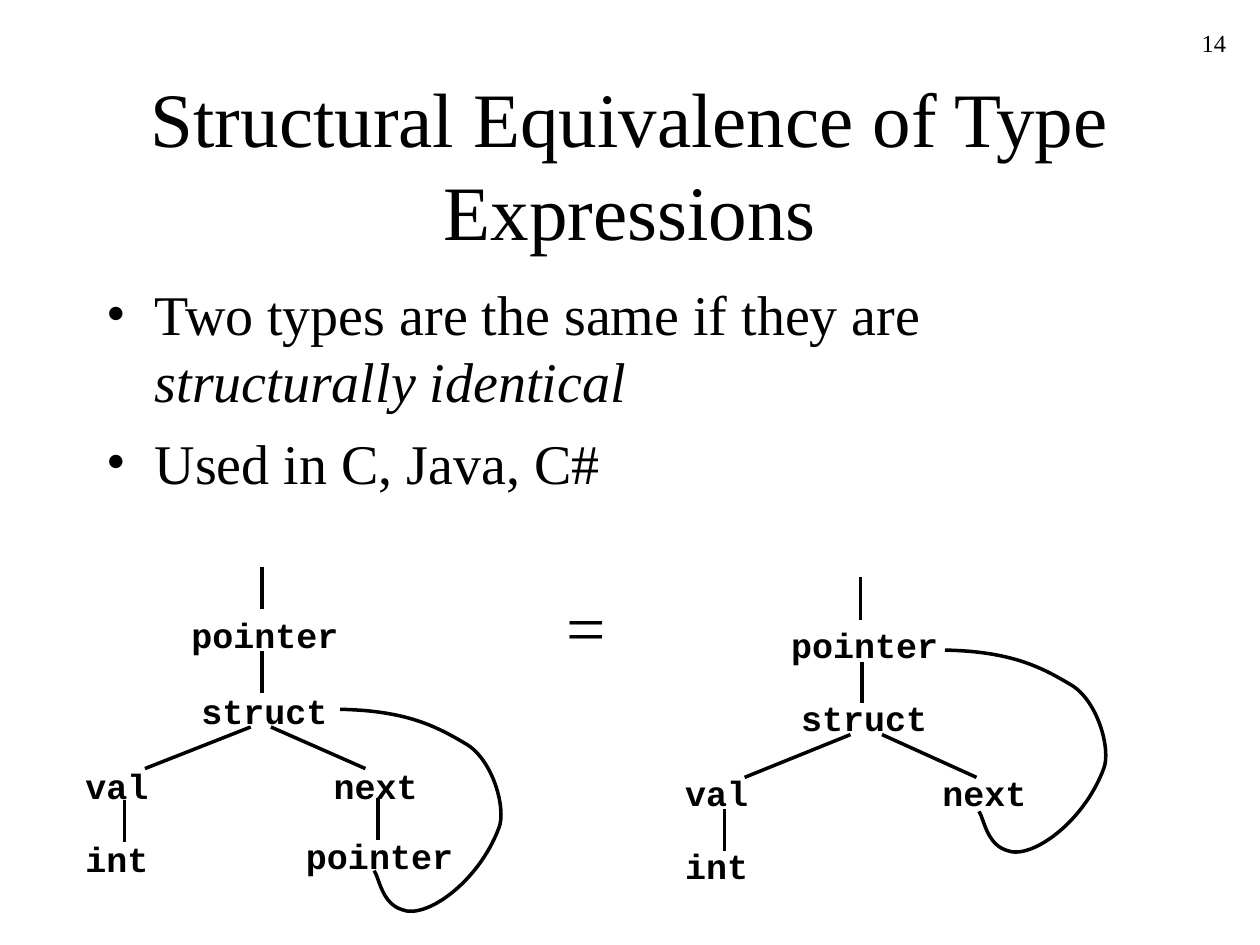
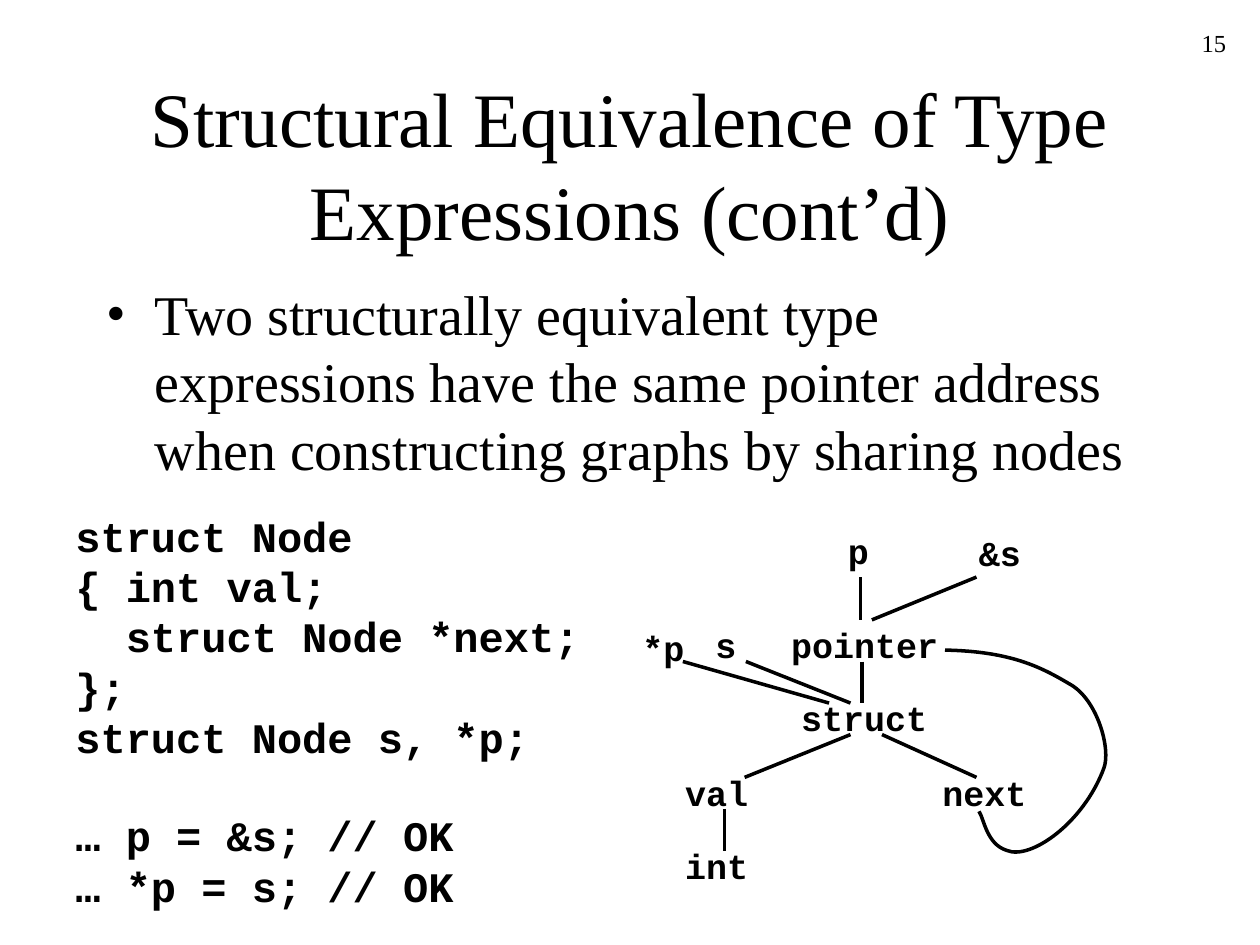
from pptx import Presentation
from pptx.dml.color import RGBColor
from pptx.enum.shapes import MSO_CONNECTOR
from pptx.enum.text import MSO_ANCHOR, MSO_AUTO_SIZE, PP_ALIGN
from pptx.oxml.ns import qn
from pptx.util import Inches, Pt
from lxml.etree import SubElement

BLACK = RGBColor(0, 0, 0)
WHITE = RGBColor(255, 255, 255)
SERIF = "Times New Roman"
MONO = "Courier New"
NODE_SIZE = 20
CODE_SIZE = 24
CODE_CHAR = 0.2    # inches per character at CODE_SIZE
CODE_LINE = 27.2   # points per line at CODE_SIZE

# Nodes are (label, left, top); edges are (x1, y1, x2, y2).
LEFT_TREE = {
    "nodes": [("pointer", 1.42, 4.82), ("struct", 1.5, 5.42),
              ("val", 0.58, 6.02), ("next", 2.55, 6.02),
              ("int", 0.58, 6.6), ("pointer", 2.33, 6.57)],
    "edges": [(2.08, 4.5, 2.08, 4.83), (2.08, 5.17, 2.08, 5.5),
              (1.99, 5.77, 1.15, 6.1), (2.15, 5.77, 2.9, 6.1),
              (0.99, 6.35, 0.99, 6.68), (3, 6.33, 3, 6.67)],
    "loop": (2.7, 5.63),
}
SHARED_TREE = {
    "nodes": [("pointer", 6.18, 4.9), ("struct", 6.26, 5.48),
              ("val", 5.34, 6.07), ("next", 7.38, 6.07),
              ("int", 5.34, 6.65)],
    "edges": [(6.83, 4.58, 6.83, 4.92), (6.84, 5.25, 6.84, 5.58),
              (6.75, 5.83, 5.91, 6.17), (7, 5.83, 7.75, 6.17),
              (5.75, 6.42, 5.75, 6.75)],
    "loop": (7.5, 5.16),
}
VARIABLES = {
    "nodes": [("p", 6.63, 4.15), ("&s", 7.67, 4.17),
              ("s", 5.58, 4.9), ("*p", 5, 4.92)],
    "edges": [(7.75, 4.58, 6.92, 4.92), (5.92, 5.25, 6.75, 5.58),
              (5.42, 5.25, 6.58, 5.58)],
}
# Start point, then three Bezier points per segment, from the loop's corner.
LOOP = [(0.27, 1.28),
        (0.31, 1.34), (0.33, 1.54), (0.49, 1.59),
        (0.68, 1.67), (1.1, 1.37), (1.26, 0.94),
        (1.32, 0.79), (1.21, 0.39), (0.99, 0.27),
        (0.77, 0.14), (0.53, 0.01), (0, 0)]

# Code lines are (text, indent in characters, blank lines before).
CODE = [("struct Node", 0, 0), ("{ int val;", 0, 0),
        ("struct Node *next;", 2, 0), ("};", 0, 0),
        ("struct Node s, *p;", 0, 0),
        ("… p = &s; // OK", 0, 1), ("… *p = s; // OK", 0, 0)]

# Each bullet is a list of (text, italic) runs.
SLIDES = [
    {"number": "14",
     "title": "Structural Equivalence of Type Expressions",
     "bullets": [[("Two types are the same if they are ", False),
                  ("structurally identical", True)],
                 [("Used in C, Java, C#", False)]],
     "graphs": [LEFT_TREE, SHARED_TREE],
     "equals": (4.4, 4.58)},
    {"number": "15",
     "title": "Structural Equivalence of Type Expressions (cont’d)",
     "bullets": [[("Two structurally equivalent type expressions have the "
                   "same pointer address when constructing graphs by "
                   "sharing nodes", False)]],
     "graphs": [SHARED_TREE, VARIABLES],
     "code": CODE},
]


def add_run(p, text, size, font=SERIF, bold=False, italic=False):
    r = p.add_run()
    r.text = text
    r.font.name, r.font.size = font, Pt(size)
    r.font.bold, r.font.italic = bold, italic
    r.font.color.rgb = BLACK


def add_box(s, x, y, w, h, wrap=True):
    tf = s.shapes.add_textbox(*map(Inches, (x, y, w, h))).text_frame
    tf.word_wrap = wrap
    return tf


def add_text(s, text, x, y, w, h, wrap=False, align=PP_ALIGN.LEFT, **fmt):
    p = add_box(s, x, y, w, h, wrap).paragraphs[0]
    p.alignment = align
    add_run(p, text, **fmt)


def paragraphs(tf, items):
    """Pair each item with a paragraph, starting with the one already there."""
    for i, item in enumerate(items):
        yield (tf.add_paragraph() if i else tf.paragraphs[0]), item


def set_indent(p, left, first=0):
    pPr = p._p.get_or_add_pPr()
    pPr.set("marL", str(Inches(left)))
    pPr.set("indent", str(Inches(first)))
    return pPr


def add_title(s, text):
    sp = s.shapes.title
    sp.left, sp.top, sp.width, sp.height = map(Inches, (0.75, 0.67, 8.5, 1.25))
    tf = sp.text_frame
    tf.word_wrap, tf.auto_size = True, MSO_AUTO_SIZE.NONE
    tf.vertical_anchor = MSO_ANCHOR.MIDDLE
    p = tf.paragraphs[0]
    p.alignment = PP_ALIGN.CENTER
    add_run(p, text, 44)


def add_bullets(s, bullets):
    tf = add_box(s, 0.75, 2.17, 8.5, 4.5)
    for p, runs in paragraphs(tf, bullets):
        p.space_before = Pt(8)
        pPr = set_indent(p, 0.38, -0.38)
        SubElement(pPr, qn("a:buFont"), typeface=SERIF)
        SubElement(pPr, qn("a:buChar"), char="•")
        for text, italic in runs:
            add_run(p, text, 32, italic=italic)


def add_code(s, lines):
    tf = add_box(s, 0.5, 4, 4.2, 3.3, wrap=False)
    for p, (text, indent, blanks) in paragraphs(tf, lines):
        set_indent(p, indent * CODE_CHAR)
        p.space_before = Pt(blanks * CODE_LINE)
        add_run(p, text, CODE_SIZE, MONO, bold=True)


def style_line(sp):
    sp.line.color.rgb = BLACK
    sp.line.width = Pt(2)


def add_loop(s, x, y):
    """Draw the curved back edge as cubic Bezier segments."""
    points = [(Inches(x + dx), Inches(y + dy)) for dx, dy in LOOP]
    builder = s.shapes.build_freeform(*points[0])
    builder.add_line_segments(points[1:], close=False)
    sp = builder.convert_to_shape()
    sp.shadow.inherit = False
    sp.fill.background()
    style_line(sp)
    outline = sp._element.find(".//" + qn("a:path"))
    for i, line_to in enumerate(outline.findall(qn("a:lnTo"))):
        if i % 3 == 0:
            curve = SubElement(outline, qn("a:cubicBezTo"))
        curve.append(line_to[0])
        outline.remove(line_to)


def add_graph(s, graph):
    for label, x, y in graph["nodes"]:
        width = len(label) * NODE_SIZE * 0.6 / 72 + 0.2
        add_text(s, label, x, y, width, 0.44,
                 size=NODE_SIZE, font=MONO, bold=True)
    for edge in graph["edges"]:
        line = s.shapes.add_connector(MSO_CONNECTOR.STRAIGHT,
                                      *map(Inches, edge))
        style_line(line)
        SubElement(line._element.spPr, qn("a:effectLst"))
    if "loop" in graph:
        add_loop(s, *graph["loop"])


def main():
    prs = Presentation()
    prs.slide_width, prs.slide_height = Inches(10), Inches(7.5)
    for content in SLIDES:
        s = prs.slides.add_slide(prs.slide_layouts[5])
        s.background.fill.solid()
        s.background.fill.fore_color.rgb = WHITE
        add_title(s, content["title"])
        add_bullets(s, content["bullets"])
        for graph in content["graphs"]:
            add_graph(s, graph)
        if "equals" in content:
            add_text(s, "=", *content["equals"], 0.51, 0.77, size=40)
        if "code" in content:
            add_code(s, content["code"])
        add_text(s, content["number"], 7.75, 0.17, 2.08, 0.5, wrap=True,
                 align=PP_ALIGN.RIGHT, size=14)
    prs.save("out.pptx")


if __name__ == "__main__":
    main()
